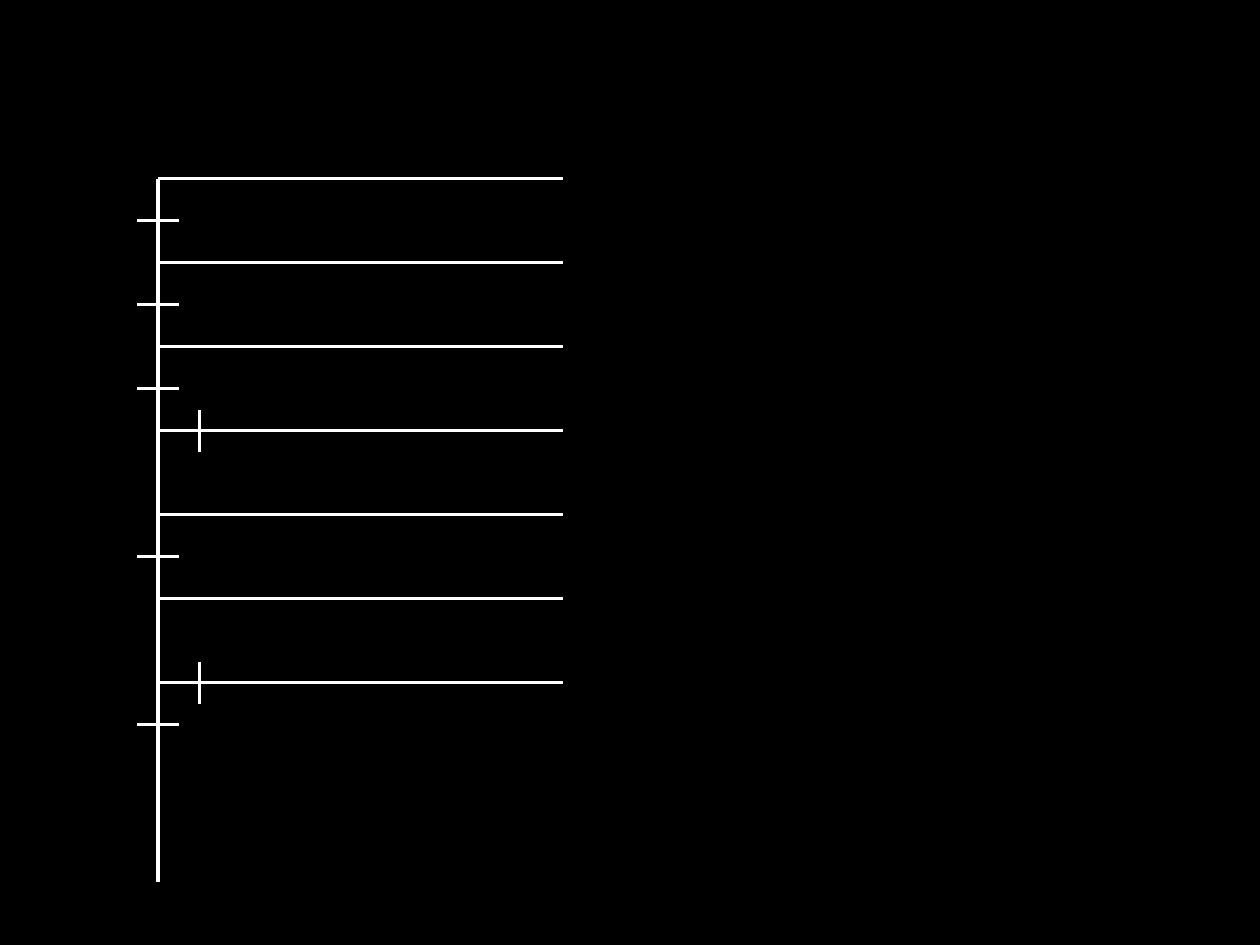
from dataclasses import dataclass

from pptx import Presentation
from pptx.dml.color import RGBColor
from pptx.enum.shapes import MSO_CONNECTOR as Connector
from pptx.oxml.ns import qn
from pptx.util import Cm, Pt

# Content: branches count from the top of the stem
BRANCH_COUNT = 7
STEM_TICKS_BELOW = [0, 1, 2, 4, 6]
CROSSED_BRANCHES = [3, 6]


@dataclass(frozen=True)
class Theme:
    background: RGBColor = RGBColor(0x00, 0x00, 0x00)
    line: RGBColor = RGBColor(0xFF, 0xFF, 0xFF)
    line_width: Pt = Pt(2)


THEME = Theme()

# Layout in centimetres
STEM_X, STEM_TOP, STEM_BOTTOM = 3.18, 3.6, 17.78
BRANCH_END = 11.35
BRANCH_GAP = 5.08 / 3
HALF_GAP = BRANCH_GAP / 2
TICK_REACH = BRANCH_GAP / 4


def branch_y(index):
    return STEM_TOP + index * BRANCH_GAP


def add_line(slide, x1, y1, x2, y2):
    connector = slide.shapes.add_connector(
        Connector.STRAIGHT, Cm(x1), Cm(y1), Cm(x2), Cm(y2))
    connector.line.color.rgb = THEME.line
    connector.line.width = THEME.line_width
    properties = connector.element.find(qn("p:spPr"))
    properties.append(properties.makeelement(qn("a:effectLst"), {}))


def main():
    presentation = Presentation()
    presentation.slide_width, presentation.slide_height = Cm(25.4), Cm(19.05)
    slide = presentation.slides.add_slide(presentation.slide_layouts[6])
    fill = slide.background.fill
    fill.solid()
    fill.fore_color.rgb = THEME.background

    # Stem and branches
    add_line(slide, STEM_X, STEM_TOP, STEM_X, STEM_BOTTOM)
    for index in range(BRANCH_COUNT):
        y = branch_y(index)
        add_line(slide, STEM_X, y, BRANCH_END, y)

    # Ticks across the stem, halfway to the next branch
    for index in STEM_TICKS_BELOW:
        y = branch_y(index) + HALF_GAP
        add_line(slide, STEM_X - TICK_REACH, y, STEM_X + TICK_REACH, y)

    # Ticks across branches
    for index in CROSSED_BRANCHES:
        x, y = STEM_X + HALF_GAP, branch_y(index)
        add_line(slide, x, y - TICK_REACH, x, y + TICK_REACH)

    presentation.save("out.pptx")


if __name__ == "__main__":
    main()
